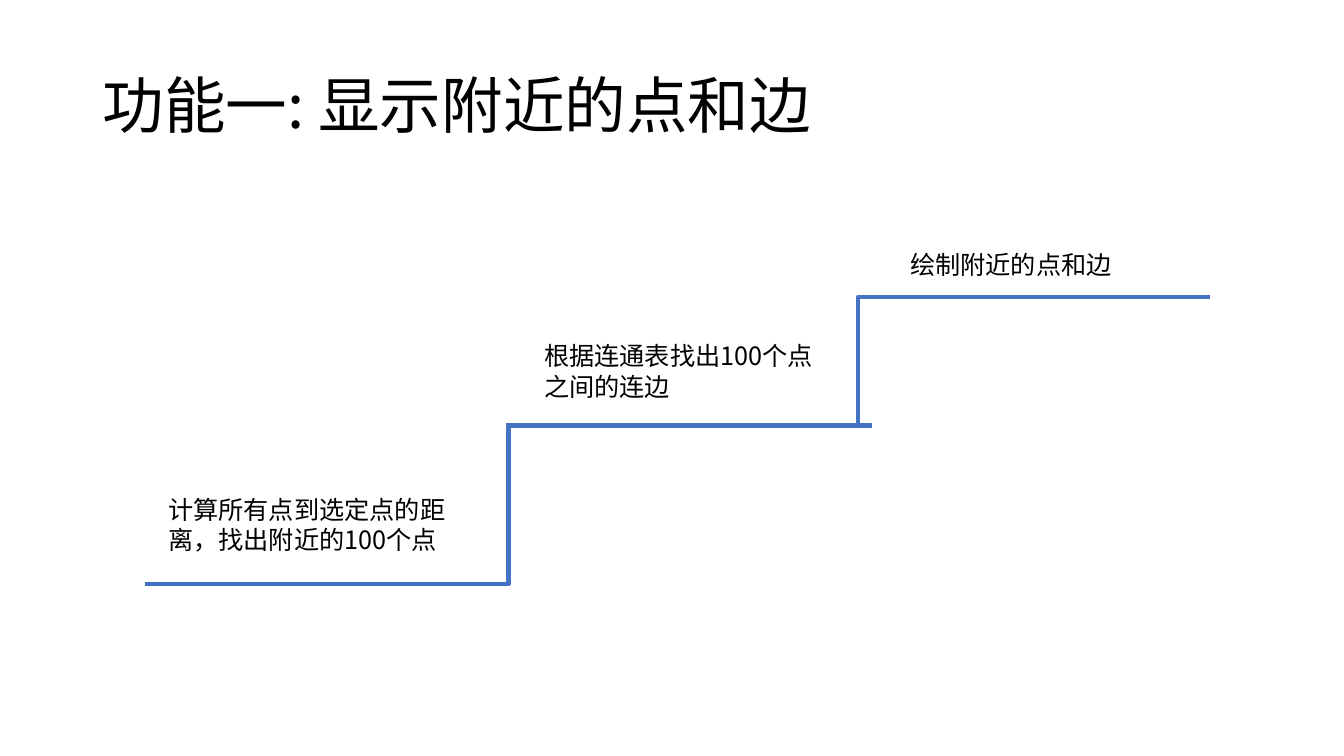
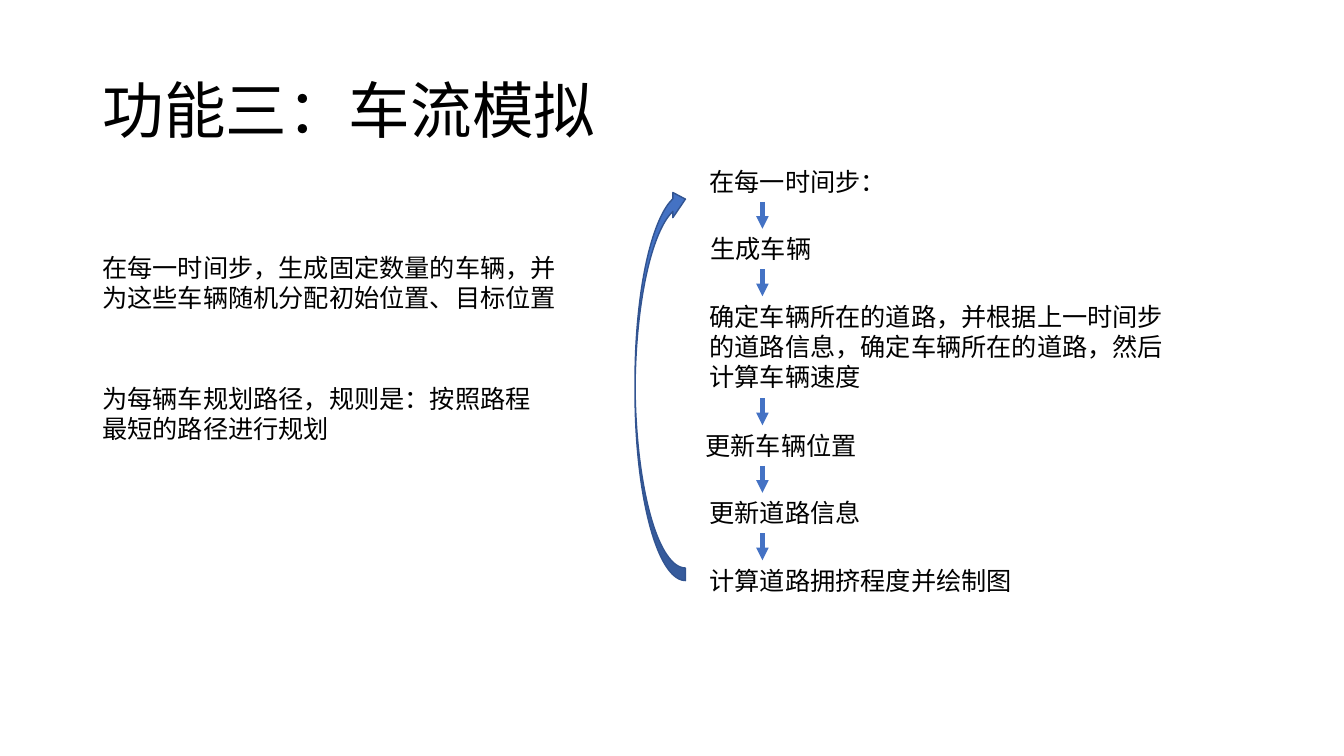
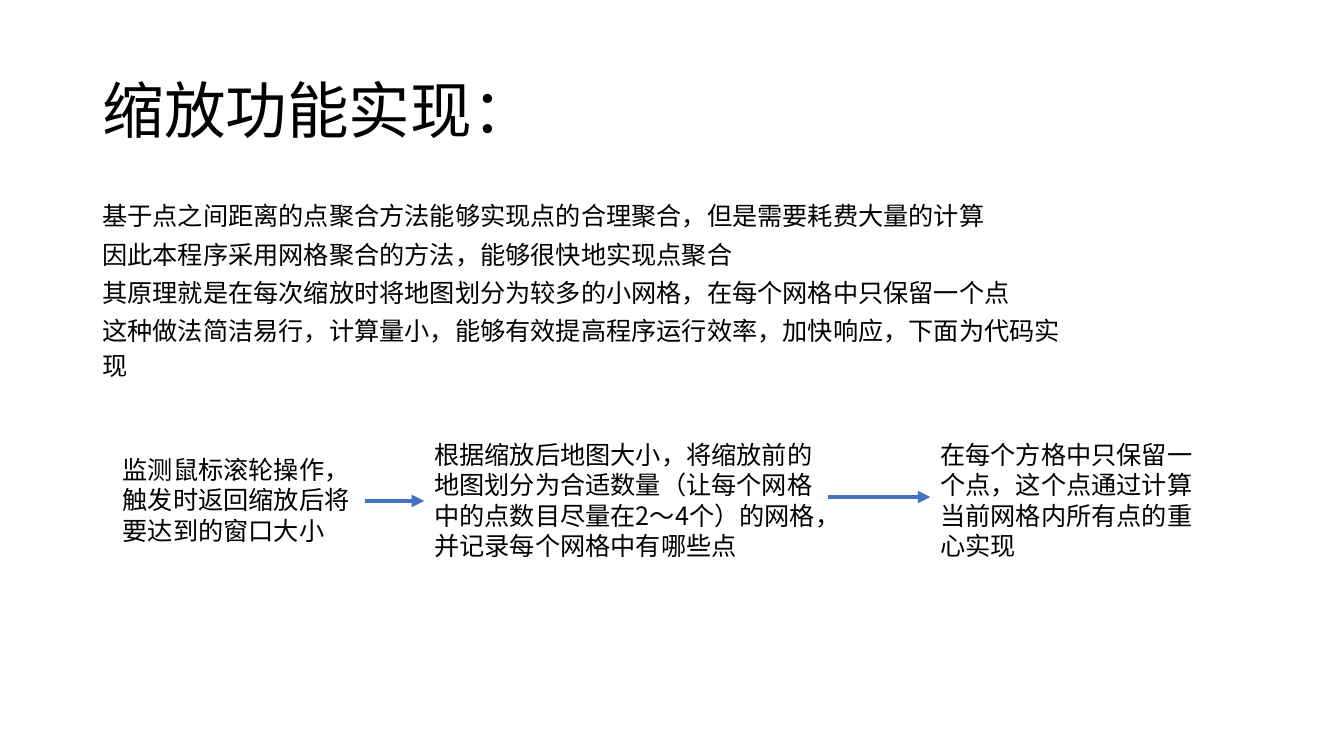
"""Build three slides on the functions of a road map program."""
from lxml.etree import SubElement
from pptx import Presentation
from pptx.dml.color import RGBColor
from pptx.enum.shapes import MSO_CONNECTOR as CONNECTOR, MSO_SHAPE as SHAPE
from pptx.enum.text import MSO_ANCHOR as ANCHOR, MSO_AUTO_SIZE as AUTO_SIZE, PP_ALIGN as ALIGN
from pptx.oxml.ns import qn
from pptx.util import Pt

COLORS = {"text": "000000", "accent": "4472C4", "outline": "325491"}
FONT = "Noto Sans CJK SC"
TITLE_SIZE, TEXT_SIZE = 44, 18
MARGIN = 66


def color(name):
    """Return the named colour."""
    return RGBColor.from_string(COLORS[name])


def format_paragraph(p, size):
    """Give a paragraph its font, for Latin and Chinese letters alike."""
    font = p.font
    font.size = Pt(size)
    font.color.rgb = color("text")
    font.name = FONT
    SubElement(p._p.pPr.find(qn("a:defRPr")), qn("a:ea")).set("typeface", FONT)
    p.alignment = ALIGN.LEFT


def add_title_slide(prs, text, top=28.8):
    """Add a title-only slide and format its title."""
    s = prs.slides.add_slide(prs.slide_layouts[5])
    title = s.shapes.title
    title.left, title.top, title.width, title.height = Pt(MARGIN), Pt(top), Pt(828), Pt(104.4)
    tf = title.text_frame
    tf.text = text
    tf.auto_size = AUTO_SIZE.NONE
    tf.vertical_anchor = ANCHOR.MIDDLE
    p = tf.paragraphs[0]
    p.line_spacing = 0.9
    format_paragraph(p, TITLE_SIZE)
    return s


def add_text(s, left, top, width, height, *lines):
    """Add a wrapping text box with one paragraph per line."""
    tf = s.shapes.add_textbox(Pt(left), Pt(top), Pt(width), Pt(height)).text_frame
    tf.word_wrap = True
    tf.text = "\n".join(lines)
    for p in tf.paragraphs:
        format_paragraph(p, TEXT_SIZE)
    return tf


def add_line(s, start, end, kind=CONNECTOR.STRAIGHT, arrow=True):
    """Add an accent line from start to end."""
    line = s.shapes.add_connector(kind, *(Pt(v) for v in (*start, *end)))
    line.line.color.rgb = color("accent")
    line.line.width = Pt(3)
    if arrow:
        SubElement(line.line._get_or_add_ln(), qn("a:tailEnd")).set("type", "triangle")
    SubElement(line._element.spPr, qn("a:effectLst"))


def add_loop_arrow(s, left, top, width, height):
    """Add the curved arrow that leads back to the first step."""
    sp = s.shapes.add_shape(SHAPE.CURVED_LEFT_ARROW, Pt(left), Pt(top), Pt(width), Pt(height))
    sp.rotation = 180
    sp.shadow.inherit = False
    sp.fill.solid()
    sp.fill.fore_color.rgb = color("accent")
    sp.line.color.rgb = color("outline")
    sp.line.width = Pt(1)


def add_nearby_slide(prs):
    """Show the three steps of drawing nearby points as a staircase."""
    s = add_title_slide(prs, "功能一: 显示附近的点和边", top=25.2)
    for start, end in (((103.7, 417.4), (622.8, 304)), ((361.4, 304), (864, 212.4))):
        add_line(s, start, end, CONNECTOR.ELBOW, arrow=False)
    add_text(s, 113, 349.2, 229.7, 51, "计算所有点到选定点的距离，找出附近的100个点")
    add_text(s, 381.6, 239.8, 222.5, 51, "根据连通表找出100个点之间的连边")
    add_text(s, 643, 174.2, 240.5, 51, "绘制附近的点和边")


def add_traffic_slide(prs):
    """Show the loop of the traffic simulation."""
    s = add_title_slide(prs, "功能三：车流模拟")
    add_text(s, MARGIN, 176.4, 353.5, 51,
             "在每一时间步，生成固定数量的车辆，并为这些车辆随机分配初始位置、目标位置")
    add_text(s, MARGIN, 270, 325.4, 51, "为每辆车规划路径，规则是：按照路程最短的路径进行规划")
    steps = (
        (499.7, 29, "在每一时间步："),
        (500.4, 29, "生成车辆"),
        (499.7, 73, "确定车辆所在的道路，并根据上一时间步的道路信息，确定车辆所在的道路，然后计算车辆速度"),
        (496.8, 29, "更新车辆位置"),
        (499.7, 29, "更新道路信息"),
        (499.7, 29, "计算道路拥挤程度并绘制图"),
    )
    top, gap, arrow_x = 115.2, 19.2, 544.6
    for i, (left, height, text) in enumerate(steps):
        if i:
            add_line(s, (arrow_x, top - gap), (arrow_x, top))
        add_text(s, left, top, 345, height, text)
        top += height + gap
    add_loop_arrow(s, 453.6, 133.2, 36, 281.5)


def add_zoom_slide(prs):
    """Explain the grid method for zooming and its three steps."""
    s = add_title_slide(prs, "缩放功能实现：")
    tf = add_text(
        s, MARGIN, 144, 711.4, 141.8,
        "基于点之间距离的点聚合方法能够实现点的合理聚合，但是需要耗费大量的计算",
        "因此本程序采用网格聚合的方法，能够很快地实现点聚合",
        "其原理就是在每次缩放时将地图划分为较多的小网格，在每个网格中只保留一个点",
        "这种做法简洁易行，计算量小，能够有效提高程序运行效率，加快响应，下面为代码实现",
    )
    for p in tf.paragraphs:
        p.line_spacing = 0.8
        p.space_before = Pt(10)
    r = tf.paragraphs[-1].add_run()
    r.text = " "
    r.font.size = Pt(28)
    add_text(s, 80.6, 321.1, 180, 73, "监测鼠标滚轮操作，触发时返回缩放后将要达到的窗口大小")
    add_text(s, 303.1, 310.3, 298, 94.3,
             "根据缩放后地图大小，将缩放前的地图划分为合适数量（让每个网格中的点数目尽量在2～4个）的网格，并记录每个网格中有哪些点")
    add_text(s, 664.6, 310.3, 195, 94.3, "在每个方格中只保留一个点，这个点通过计算当前网格内所有点的重心实现")
    add_line(s, (260.6, 357.8), (303.1, 357.8))
    add_line(s, (591.1, 355), (664.6, 355))


def main():
    """Build and save the presentation."""
    prs = Presentation()
    prs.slide_width, prs.slide_height = Pt(960), Pt(540)
    add_nearby_slide(prs)
    add_traffic_slide(prs)
    add_zoom_slide(prs)
    prs.save("out.pptx")


if __name__ == "__main__":
    main()
